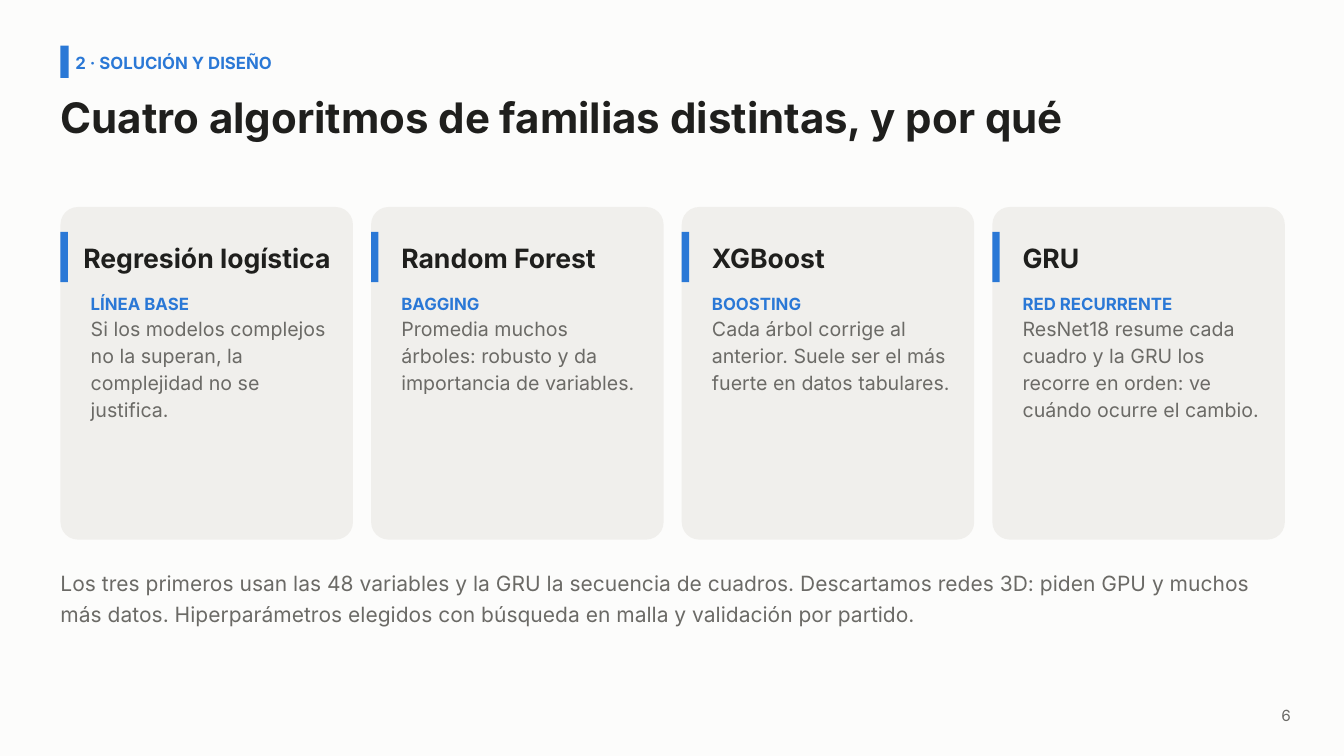
from pptx import Presentation
from pptx.dml.color import RGBColor
from pptx.enum.shapes import MSO_SHAPE as Shape
from pptx.enum.text import MSO_AUTO_SIZE as AutoSize, PP_ALIGN as Align
from pptx.util import Inches, Pt

SECTION = "2 · SOLUCIÓN Y DISEÑO"
TITLE = "Cuatro algoritmos de familias distintas, y por qué"
ALGORITHMS = [
    ("Regresión logística", "LÍNEA BASE",
     "Si los modelos complejos no la superan, la complejidad no se justifica."),
    ("Random Forest", "BAGGING",
     "Promedia muchos árboles: robusto y da importancia de variables."),
    ("XGBoost", "BOOSTING",
     "Cada árbol corrige al anterior. Suele ser el más fuerte en datos tabulares."),
    ("GRU", "RED RECURRENTE",
     "ResNet18 resume cada cuadro y la GRU los recorre en orden: ve cuándo ocurre el cambio."),
]
SUMMARY = (
    "Los tres primeros usan las 48 variables y la GRU la secuencia de cuadros. "
    "Descartamos redes 3D: piden GPU y muchos más datos. "
    "Hiperparámetros elegidos con búsqueda en malla y validación por partido."
)
PAGE = "6"

COLORS = {"paper": "FCFCFB", "card": "F0EFEC", "accent": "2A78D6", "ink": "1F1F1D", "muted": "6B6A66"}
STYLES = {
    "section": {"size": 18, "bold": True, "color": "accent", "leading": 23.8},
    "title": {"size": 45, "bold": True, "color": "ink", "leading": 59.4},
    "name": {"size": 28.5, "bold": True, "color": "ink", "leading": 37.6},
    "family": {"size": 18, "bold": True, "color": "accent", "leading": 24.9},
    "reason": {"size": 21, "bold": False, "color": "muted", "leading": 29},
    "summary": {"size": 22.5, "bold": False, "color": "muted", "leading": 32.4},
    "page": {"size": 16.5, "bold": False, "color": "muted", "leading": 21.8},
}

WIDTH, HEIGHT = 20, 11.25
LEFT, GRID_WIDTH, GAP = 0.9, 18.22, 0.27
CARD_TOP, CARD_HEIGHT, CARD_RADIUS = 3.08, 4.95, 0.26
CARD_WIDTH = (GRID_WIDTH - GAP * (len(ALGORITHMS) - 1)) / len(ALGORITHMS)
INSET, TEXT_WIDTH = 0.45, 3.6
WIDE_INSET, WIDE_NAME = 0.34, 3.83


def rgb(name):
    """Return the palette colour with this name."""
    return RGBColor.from_string(COLORS[name])


def add_block(slide, color, left, top, width, height, radius=0):
    """Add a plain filled rectangle, rounded when a radius is given."""
    kind = Shape.ROUNDED_RECTANGLE if radius else Shape.RECTANGLE
    block = slide.shapes.add_shape(kind, *map(Inches, (left, top, width, height)))
    if radius:
        block.adjustments[0] = radius / min(width, height)
    block.fill.solid()
    block.fill.fore_color.rgb = rgb(color)
    block.line.fill.background()
    block.shadow.inherit = False


def add_text(slide, lines, left, top, width, height, align=Align.LEFT):
    """Add a text box with one styled paragraph for each (style, text) pair."""
    frame = slide.shapes.add_textbox(*map(Inches, (left, top, width, height))).text_frame
    settings = {"word_wrap": True, "auto_size": AutoSize.SHAPE_TO_FIT_TEXT, "margin_left": 0,
                "margin_top": 0, "margin_right": 0, "margin_bottom": 0}
    for key, value in settings.items():
        setattr(frame, key, value)
    for index, (style, text) in enumerate(lines):
        look = STYLES[style]
        paragraph = frame.add_paragraph() if index else frame.paragraphs[0]
        paragraph.alignment = align
        paragraph.line_spacing = Pt(look["leading"])
        run = paragraph.add_run()
        run.text = text
        for key, value in {"name": "Inter", "size": Pt(look["size"]), "bold": look["bold"]}.items():
            setattr(run.font, key, value)
        run.font.color.rgb = rgb(look["color"])


def add_card(slide, column, name, family, reason):
    """Add the card of one algorithm in its column."""
    left = LEFT + column * (CARD_WIDTH + GAP)
    name_inset, name_width = (INSET, TEXT_WIDTH) if column else (WIDE_INSET, WIDE_NAME)
    add_block(slide, "card", left, CARD_TOP, CARD_WIDTH, CARD_HEIGHT, CARD_RADIUS)
    add_block(slide, "accent", left, CARD_TOP + 0.37, 0.11, 0.75)
    add_text(slide, [("name", name)], left + name_inset, CARD_TOP + 0.47, name_width, 0.51)
    add_text(slide, [("family", family), ("reason", reason)],
             left + INSET, CARD_TOP + 1.24, TEXT_WIDTH, 3.48)


def main():
    """Build the slide and save it."""
    deck = Presentation()
    deck.slide_width, deck.slide_height = Inches(WIDTH), Inches(HEIGHT)
    slide = deck.slides.add_slide(deck.slide_layouts[6])
    slide.background.fill.solid()
    slide.background.fill.fore_color.rgb = rgb("paper")

    add_block(slide, "accent", LEFT, 0.68, 0.12, 0.48)
    add_text(slide, [("section", SECTION)], LEFT + 0.22, 0.75, 13.51, 0.31)
    add_text(slide, [("title", TITLE)], LEFT, 1.29, 18.16, 1.56)
    for column, algorithm in enumerate(ALGORITHMS):
        add_card(slide, column, *algorithm)
    add_text(slide, [("summary", SUMMARY)], LEFT, 8.42, 18.16, 1.41)
    add_text(slide, [("page", PAGE)], 18.31, 10.48, 0.9, 0.48, Align.RIGHT)

    deck.save("out.pptx")


if __name__ == "__main__":
    main()
